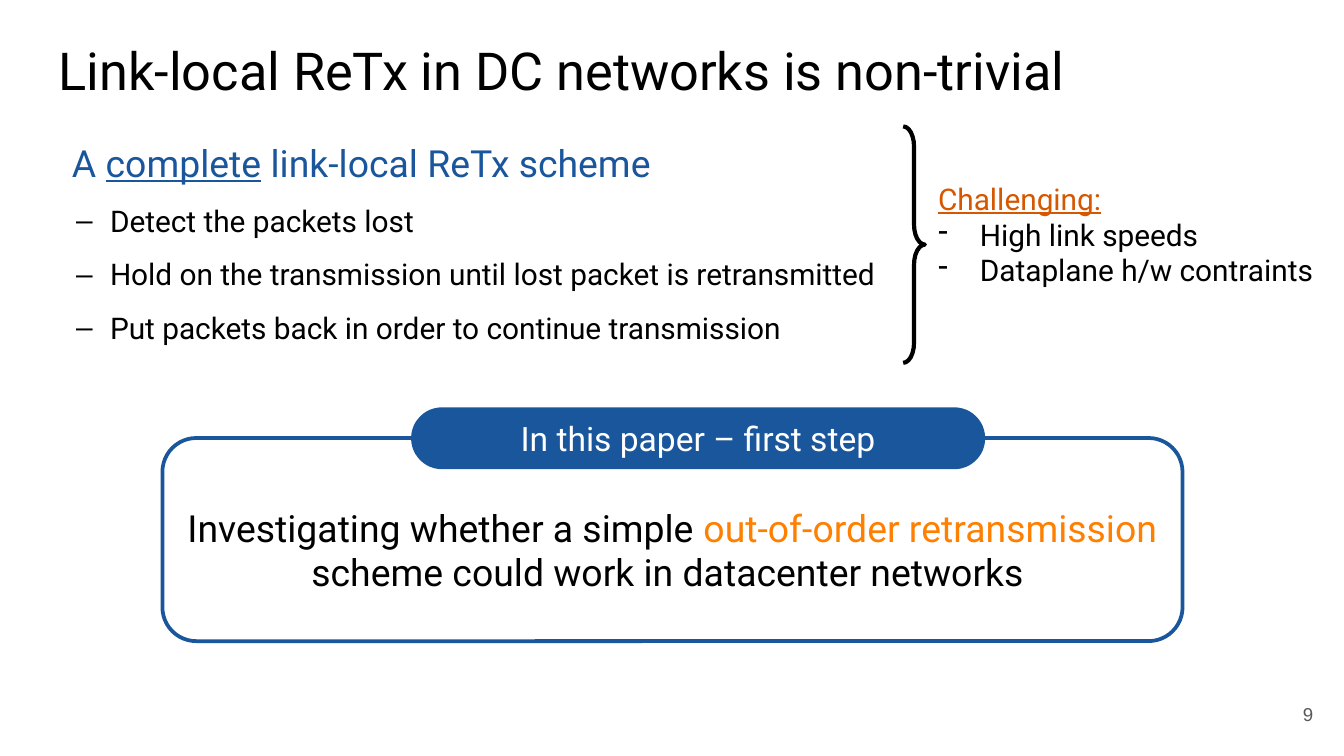
from lxml import etree
from pptx import Presentation
from pptx.dml.color import RGBColor
from pptx.enum.shapes import MSO_SHAPE
from pptx.enum.text import MSO_ANCHOR, MSO_AUTO_SIZE, PP_ALIGN
from pptx.oxml.ns import qn
from pptx.util import Cm, Pt

BLACK = RGBColor(0x00, 0x00, 0x00)
WHITE = RGBColor(0xFF, 0xFF, 0xFF)
GRAY = RGBColor(0x59, 0x59, 0x59)
BLUE = RGBColor(0x1A, 0x56, 0x9C)
RUST = RGBColor(0xD5, 0x58, 0x00)
ORANGE = RGBColor(0xFF, 0x80, 0x01)

LEFT, CENTER, RIGHT = PP_ALIGN.LEFT, PP_ALIGN.CENTER, PP_ALIGN.RIGHT
TOP, MIDDLE = MSO_ANCHOR.TOP, MSO_ANCHOR.MIDDLE
NO_AUTOFIT = MSO_AUTO_SIZE.NONE
ROUNDED, BRACE = MSO_SHAPE.ROUNDED_RECTANGLE, MSO_SHAPE.RIGHT_BRACE

INSETS = (0.25, 0.25, 0.25, 0.25)


def write(para, *spans, size=16, color=BLACK, font="Roboto", align=LEFT,
          bullet=None, margin=0, hanging=0, spacing=1.0):
    """Fill a paragraph; each span is a text or (text, font attributes)."""
    properties = para._p.get_or_add_pPr()
    properties.set("marL", str(Cm(margin)))
    properties.set("indent", str(-Cm(hanging)))
    if bullet:
        tint = etree.SubElement(properties, qn("a:buClr"))
        etree.SubElement(tint, qn("a:srgbClr"), val=str(BLACK))
        etree.SubElement(properties, qn("a:buChar"), char=bullet)
    else:
        etree.SubElement(properties, qn("a:buNone"))
    para.alignment = align
    para.line_spacing = spacing
    para.space_before = para.space_after = Pt(0)
    for span in spans:
        text, changes = (span, {}) if isinstance(span, str) else span
        run = para.add_run()
        run.text = text
        run.font.name = font
        run.font.size = Pt(size)
        run.font.color.rgb = changes.get("color", color)
        run.font.underline = changes.get("underline", False)


class SlideBuilder:
    def __init__(self, deck):
        self.page = deck.slides.add_slide(deck.slide_layouts[1])

    def frame(self, shape, anchor=TOP, insets=INSETS):
        """Set up the text frame of a shape and return it."""
        box = shape.text_frame
        box.word_wrap = True
        box.auto_size = NO_AUTOFIT
        box.vertical_anchor = anchor
        (box.margin_left, box.margin_top,
         box.margin_right, box.margin_bottom) = map(Cm, insets)
        return box

    def placeholder(self, index, left, top, width, height):
        shape = self.page.placeholders[index]
        shape.left, shape.top = Cm(left), Cm(top)
        shape.width, shape.height = Cm(width), Cm(height)
        return self.frame(shape)

    def text_box(self, left, top, width, height, **layout):
        shape = self.page.shapes.add_textbox(
            Cm(left), Cm(top), Cm(width), Cm(height))
        return self.frame(shape, **layout)

    def shape(self, kind, left, top, width, height,
              fill=None, line=None, line_width=2, adjustment=None):
        shape = self.page.shapes.add_shape(
            kind, Cm(left), Cm(top), Cm(width), Cm(height))
        shape.shadow.inherit = False
        if adjustment is not None:
            shape.adjustments[0] = adjustment
        if fill is None:
            shape.fill.background()
        else:
            shape.fill.solid()
            shape.fill.fore_color.rgb = fill
        if line is None:
            shape.line.fill.background()
        else:
            shape.line.color.rgb = line
            shape.line.width = Pt(line_width)
        return shape


def main():
    deck = Presentation()
    deck.slide_width, deck.slide_height = Cm(25.4), Cm(14.29)
    builder = SlideBuilder(deck)

    title = builder.placeholder(0, 0.86, 0.48, 23.67, 1.6)
    write(title.paragraphs[0], "Link-local ReTx in DC networks is non-trivial", size=28)

    scheme = builder.placeholder(1, 0.86, 2.39, 23.67, 10.31)
    write(scheme.paragraphs[0], "A ", ("complete", {"underline": True}),
          " link-local ReTx scheme", size=20, color=BLUE, margin=0.25)
    for step in ("Detect the packets lost",
                 "Hold on the transmission until lost packet is retransmitted",
                 "Put packets back in order to continue transmission"):
        para = scheme.add_paragraph()
        para.level = 1
        write(para, step, bullet="–", margin=0.97, hanging=0.64, spacing=1.5)

    number = builder.text_box(23.55, 12.95, 1.52, 1.09, anchor=MIDDLE)
    write(number.paragraphs[0], "9", size=10, color=GRAY, font="Arial", align=RIGHT)

    challenges = builder.text_box(17.48, 3.28, 7.98, 2.31,
                                  insets=(0.25, 0.13, 0.25, 0.13))
    write(challenges.paragraphs[0], ("Challenging:", {"underline": True}), color=RUST)
    for challenge in ("High link speeds", "Dataplane h/w contraints"):
        write(challenges.add_paragraph(), challenge,
              bullet="-", margin=0.79, hanging=0.79)

    builder.shape(BRACE, 17.07, 2.39, 0.41, 4.47,
                  line=BLACK, line_width=2.25, adjustment=0.93)

    panel = builder.shape(ROUNDED, 3.07, 8.28, 19.28, 3.84, fill=WHITE, line=BLUE)
    goal = builder.frame(panel, anchor=MIDDLE, insets=(0.25, 0.51, 0.25, 0.13))
    write(goal.paragraphs[0], "Investigating whether a simple ",
          ("out-of-order retransmission ", {"color": ORANGE}),
          "scheme could work in datacenter networks ", size=20, align=CENTER)

    pill = builder.shape(ROUNDED, 7.77, 7.7, 10.85, 1.17, fill=BLUE, adjustment=0.5)
    heading = builder.frame(pill, anchor=MIDDLE)
    write(heading.paragraphs[0], "In this paper – first step",
          size=18, color=WHITE, align=CENTER)

    deck.save("out.pptx")


if __name__ == "__main__":
    main()
